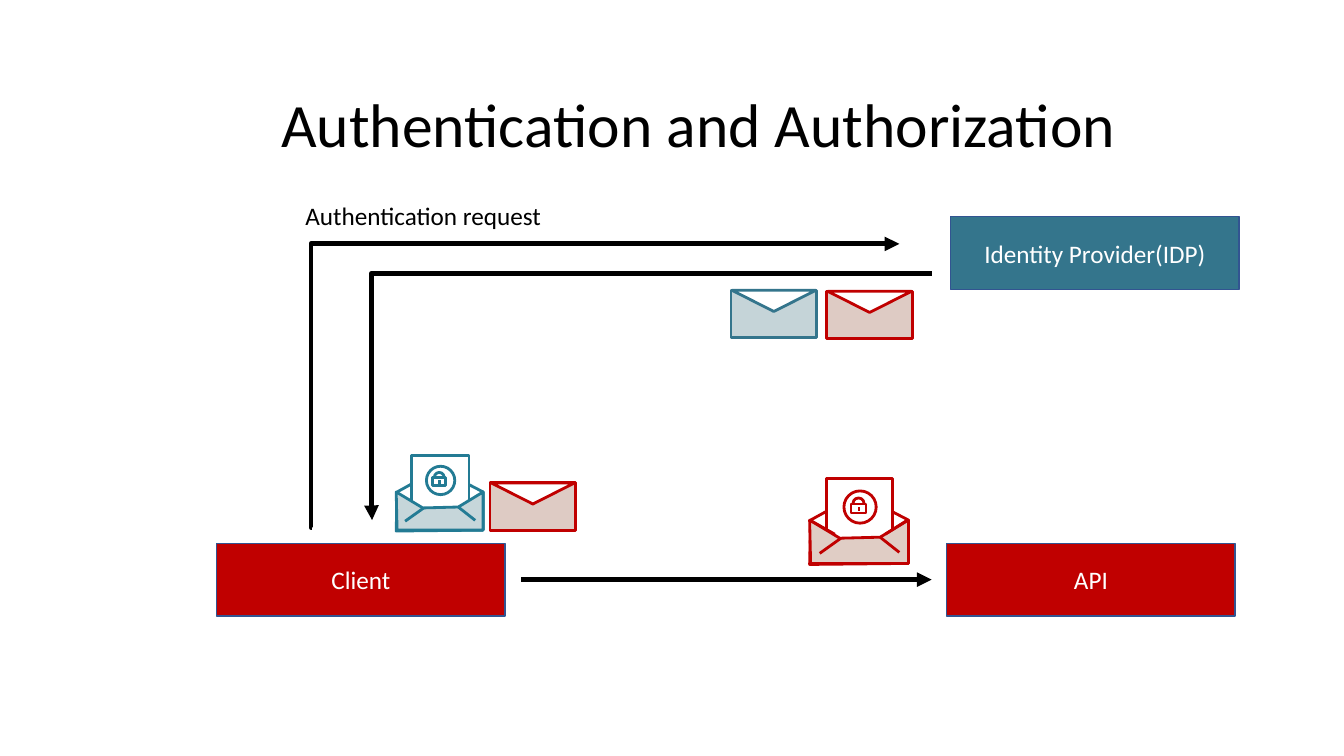
from lxml.etree import SubElement
from pptx import Presentation
from pptx.dml.color import RGBColor
from pptx.enum.shapes import MSO_CONNECTOR, MSO_SHAPE
from pptx.enum.text import MSO_ANCHOR, PP_ALIGN
from pptx.oxml.ns import qn
from pptx.util import Inches, Pt

FONT = "Calibri"
BLACK = RGBColor(0x00, 0x00, 0x00)
WHITE = RGBColor(0xFF, 0xFF, 0xFF)
RED = RGBColor(0xC0, 0x00, 0x00)
TEAL = RGBColor(0x34, 0x75, 0x8C)
BRIGHT_TEAL = RGBColor(0x23, 0x7B, 0x94)
BOX_EDGE = RGBColor(0x32, 0x54, 0x91)
PALE_RED = RGBColor(0xDE, 0xCB, 0xC4)
PALE_TEAL = RGBColor(0xC5, 0xD4, 0xD8)
POCKET_RED = RGBColor(0xE0, 0xCD, 0xC5)
POCKET_TEAL = RGBColor(0xC6, 0xD6, 0xDA)

# Open envelope outlines, in inches from its top left corner at full size
BACK = [(0.01, 0.41), (0.48, 0.15), (0.98, 0.41), (0.98, 0.84), (0, 0.85)]
POCKET = [(0, 0.41), (0.3, 0.59), (0.7, 0.58), (0.98, 0.41), (0.98, 0.84), (0.01, 0.84)]
FOLDS = [((0.1, 0.74), (0.31, 0.59)), ((0.7, 0.58), (0.89, 0.73))]
RIMS = [((0.02, 0.42), (0.25, 0.55)), ((0.97, 0.41), (0.75, 0.55))]
KEYHOLE = ((0.49, 0.28), (0.49, 0.32))


def set_text(frame, text, size, color, align):
    """Write one formatted paragraph into a text frame."""
    frame.text = text
    paragraph = frame.paragraphs[0]
    paragraph.alignment = align
    paragraph.font.name = FONT
    paragraph.font.size = Pt(size)
    paragraph.font.color.rgb = color
    return paragraph


def paint(shape, fill, edge, weight=2):
    """Give a shape its fill (None for hollow) and outline, without shadow."""
    shape.shadow.inherit = False
    if fill is None:
        shape.fill.background()
    else:
        shape.fill.solid()
        shape.fill.fore_color.rgb = fill
    shape.line.color.rgb = edge
    shape.line.width = Pt(weight)


def add_preset(shapes, preset, box, fill, edge, weight=2):
    """Add a preset shape at (left, top, width, height)."""
    shape = shapes.add_shape(preset, *map(Inches, box))
    paint(shape, fill, edge, weight)
    return shape


def add_outline(shapes, points, fill, edge):
    """Add a closed polygon through the given points."""
    start, *others = [(Inches(x), Inches(y)) for x, y in points]
    builder = shapes.build_freeform(*start)
    builder.add_line_segments(others, close=True)
    paint(builder.convert_to_shape(), fill, edge)


def add_line(shapes, start, end, color, weight=2, arrow=None, bent=False):
    """Add a straight or up-then-across line; arrow is headEnd or tailEnd."""
    kind = MSO_CONNECTOR.ELBOW if bent else MSO_CONNECTOR.STRAIGHT
    line = shapes.add_connector(kind, *map(Inches, (*start, *end)))
    line.line.color.rgb = color
    line.line.width = Pt(weight)
    properties = line._element.spPr
    if arrow:
        SubElement(properties.find(qn("a:ln")), qn(f"a:{arrow}"), type="triangle")
    if bent:
        guides = properties.find(qn("a:prstGeom")).get_or_add_avLst()
        SubElement(guides, qn("a:gd"), name="adj1", fmla="val -100")
    SubElement(properties, qn("a:effectLst"))


def add_box(shapes, text, left, top, fill):
    """Add a labelled system box."""
    box = add_preset(shapes, MSO_SHAPE.RECTANGLE, (left, top, 2.86, 0.72), fill, BOX_EDGE, 1)
    box.text_frame.vertical_anchor = MSO_ANCHOR.MIDDLE
    set_text(box.text_frame, text, 18, WHITE, PP_ALIGN.CENTER)


def add_closed_envelope(shapes, left, top, fill, edge):
    """Add a sealed envelope with a triangular flap."""
    group = shapes.add_group_shape().shapes
    add_preset(group, MSO_SHAPE.RECTANGLE, (left, top, 0.85, 0.47), fill, edge)
    flap = add_preset(group, MSO_SHAPE.ISOSCELES_TRIANGLE,
                      (left + 0.01, top, 0.83, 0.21), WHITE, edge)
    flap.rotation = 180


def add_open_envelope(shapes, left, top, scale, fill, edge, creases):
    """Add an opened envelope holding a letter with a padlock."""
    group = shapes.add_group_shape().shapes

    def place(points):
        return [(left + x * scale, top + y * scale) for x, y in points]

    def add_part(preset, x, y, width, height, part_fill=WHITE):
        box = (left + x * scale, top + y * scale, width * scale, height * scale)
        add_preset(group, preset, box, part_fill, edge)

    add_outline(group, place(BACK), WHITE, edge)
    add_part(MSO_SHAPE.RECTANGLE, 0.17, 0, 0.65, 0.6)
    add_outline(group, place(POCKET), fill, edge)
    for crease in creases:
        add_line(group, *place(crease), edge)
    add_part(MSO_SHAPE.OVAL, 0.34, 0.12, 0.32, 0.32)
    add_part(MSO_SHAPE.OVAL, 0.43, 0.19, 0.11, 0.11, None)
    add_part(MSO_SHAPE.RECTANGLE, 0.41, 0.25, 0.15, 0.09)
    add_line(group, *place(KEYHOLE), edge)


def add_title(slide, text):
    """Place and format the slide title."""
    title = slide.shapes.title
    title.left, title.top, title.width, title.height = map(Inches, (2.69, 0.54, 11.5, 1.45))
    title.text_frame.vertical_anchor = MSO_ANCHOR.MIDDLE
    set_text(title.text_frame, text, 44, BLACK, PP_ALIGN.LEFT).line_spacing = 0.9


def add_label(shapes, text, box):
    """Add a one-line caption."""
    label = shapes.add_textbox(*map(Inches, box))
    label.text_frame.word_wrap = False
    set_text(label.text_frame, text, 18, BLACK, PP_ALIGN.LEFT)


def main():
    """Build the authentication flow slide."""
    deck = Presentation()
    deck.slide_width, deck.slide_height = Inches(13.33), Inches(7.5)
    slide = deck.slides.add_slide(deck.slide_layouts[5])
    shapes = slide.shapes

    add_title(slide, "Authentication and Authorization")
    add_box(shapes, "API", 9.39, 5.39, RED)
    add_box(shapes, "Client", 2.15, 5.39, RED)
    add_box(shapes, "Identity Provider(IDP)", 9.43, 2.15, TEAL)
    add_label(shapes, "Authentication request", (2.93, 1.94, 2.57, 0.4))

    add_line(shapes, (3.09, 5.23), (8.92, 2.42), BLACK, 3.5, "tailEnd", bent=True)
    add_line(shapes, (3.69, 5.16), (9.24, 2.71), BLACK, 3.5, "headEnd", bent=True)
    add_line(shapes, (5.17, 5.75), (9.24, 5.75), BLACK, 3.5, "tailEnd")

    add_closed_envelope(shapes, 7.25, 2.88, PALE_TEAL, TEAL)
    add_closed_envelope(shapes, 8.2, 2.89, PALE_RED, RED)
    add_open_envelope(shapes, 8.03, 4.75, 1, POCKET_RED, RED, RIMS + FOLDS)
    add_open_envelope(shapes, 3.93, 4.52, 0.88, POCKET_TEAL, BRIGHT_TEAL, FOLDS)
    add_closed_envelope(shapes, 4.86, 4.79, PALE_RED, RED)

    deck.save("out.pptx")


main()
